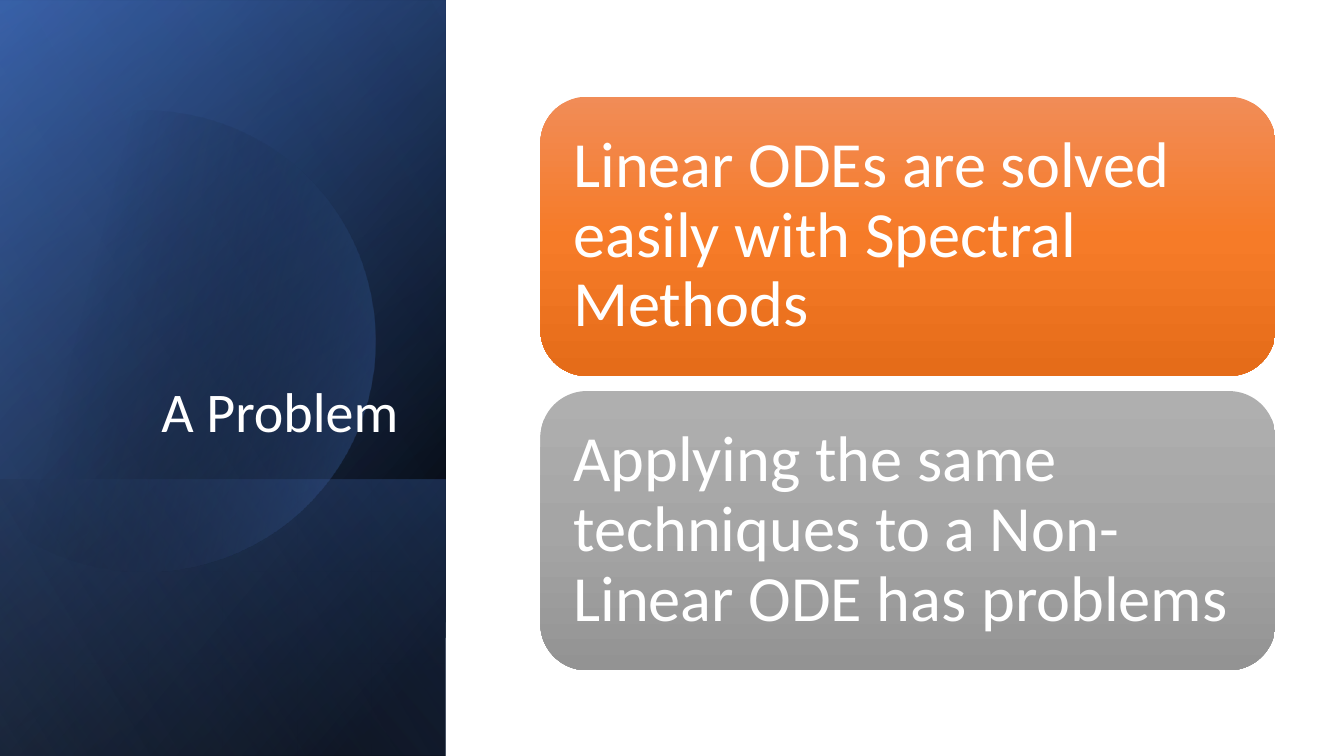
from dataclasses import dataclass

from lxml import etree
from pptx import Presentation
from pptx.dml.color import RGBColor
from pptx.enum.shapes import MSO_SHAPE
from pptx.enum.text import MSO_ANCHOR, MSO_AUTO_SIZE, PP_ALIGN
from pptx.oxml.ns import qn
from pptx.shapes.autoshape import Shape
from pptx.slide import Slide
from pptx.text.text import TextFrame
from pptx.util import Inches, Pt

RECTANGLE = MSO_SHAPE.RECTANGLE
ROUNDED_RECTANGLE = MSO_SHAPE.ROUNDED_RECTANGLE
ANCHOR_BOTTOM, ANCHOR_MIDDLE = MSO_ANCHOR.BOTTOM, MSO_ANCHOR.MIDDLE
ALIGN_LEFT, ALIGN_RIGHT = PP_ALIGN.LEFT, PP_ALIGN.RIGHT
NO_AUTOFIT = MSO_AUTO_SIZE.NONE

Point = tuple[float, float]


@dataclass(frozen=True)
class Theme:
    font: str = "Calibri"
    title_size: int = 40
    card_size: int = 46
    line_spacing: float = 0.9
    text: str = "FFFFFF"
    black: str = "000000"
    blue: str = "4472C4"
    dark_blue: str = "2F5597"
    light_blue: str = "8FAADC"
    orange: tuple[str, ...] = ("F18C57", "F67B28", "E56C19")
    gray: tuple[str, ...] = ("AFAFAF", "A5A5A5", "939393")


@dataclass(frozen=True)
class Stop:
    position: int
    color: str
    opacity: int = 100


@dataclass(frozen=True)
class Gradient:
    angle: int
    stops: tuple[Stop, ...]


@dataclass(frozen=True)
class Panel:
    left: float
    top: float
    width: float
    gradient: Gradient


@dataclass(frozen=True)
class Card:
    text: str
    colors: tuple[str, ...]


THEME = Theme()
PANEL_HEIGHT = 4.42
CARD_LEFT, CARD_TOP, CARD_WIDTH, CARD_HEIGHT = 5.36, 0.96, 7.29, 2.77
CARD_PITCH = 2.92
CARD_MARGIN = 0.19
CURVE_STEPS = 24

BASE_PANELS = (
    Panel(-1.54, 1.54, 7.5, Gradient(50, (Stop(8, THEME.black), Stop(100, THEME.dark_blue)))),
    Panel(-1.54, 1.55, 7.5, Gradient(30, (Stop(0, THEME.black, 0), Stop(99, THEME.blue, 46)))),
    Panel(0.84, 3.92, 2.74, Gradient(130, (Stop(2, THEME.blue, 29), Stop(100, THEME.black, 30)))),
)
GLOW_PANEL = Panel(
    -1.54, 1.54, 7.5, Gradient(120, (Stop(0, THEME.black, 0), Stop(99, THEME.light_blue, 11)))
)
CIRCLE_GRADIENT = Gradient(14, (Stop(29, THEME.black, 0), Stop(100, THEME.blue, 43)))
CIRCLE_START: Point = (1.49, 1.1)
CIRCLE_RIGHT_CURVES: tuple[tuple[Point, Point, Point], ...] = (
    ((2.46, 1.12), (3.35, 1.77), (3.63, 2.75)),
    ((3.98, 3.97), (3.28, 5.23), (2.07, 5.58)),
    ((1.31, 5.8), (0.53, 5.61), (-0.03, 5.14)),
)
CIRCLE_LEFT_EDGE: tuple[Point, ...] = ((-0.15, 5.03), (-0.15, 1.75), (0, 1.61))
CIRCLE_TOP_CURVES: tuple[tuple[Point, Point, Point], ...] = (
    ((0.23, 1.42), (0.5, 1.28), (0.8, 1.19)),
    ((1.03, 1.13), (1.26, 1.1), (1.49, 1.1)),
)
CARDS = (
    Card("Linear ODEs are solved easily with Spectral Methods", THEME.orange),
    Card("Applying the same techniques to a Non-Linear ODE has problems", THEME.gray),
)


def apply_gradient(shape: Shape, gradient: Gradient) -> None:
    shape.shadow.inherit = False
    shape.line.fill.background()
    shape.fill.gradient()
    element = shape._element.spPr.find(qn("a:gradFill"))
    element.clear()
    element.set("rotWithShape", "1")
    stop_list = etree.SubElement(element, qn("a:gsLst"))
    for stop in gradient.stops:
        entry = etree.SubElement(stop_list, qn("a:gs"), pos=str(stop.position * 1000))
        color = etree.SubElement(entry, qn("a:srgbClr"), val=stop.color)
        if stop.opacity < 100:
            etree.SubElement(color, qn("a:alpha"), val=str(stop.opacity * 1000))
    etree.SubElement(element, qn("a:lin"), ang=str(gradient.angle * 60000), scaled="0")


def write_text(
    frame: TextFrame, text: str, size: int, alignment: PP_ALIGN, anchor: MSO_ANCHOR
) -> None:
    frame.word_wrap = True
    frame.auto_size = NO_AUTOFIT
    frame.vertical_anchor = anchor
    frame.text = text
    paragraph = frame.paragraphs[0]
    paragraph.alignment = alignment
    paragraph.line_spacing = THEME.line_spacing
    paragraph.font.name = THEME.font
    paragraph.font.size = Pt(size)
    paragraph.font.color.rgb = RGBColor.from_string(THEME.text)


def add_panel(slide: Slide, panel: Panel) -> None:
    shape = slide.shapes.add_shape(
        RECTANGLE, Inches(panel.left), Inches(panel.top), Inches(panel.width), Inches(PANEL_HEIGHT)
    )
    shape.rotation = 90
    shape._element.spPr.xfrm.set("flipH", "1")
    apply_gradient(shape, panel.gradient)


def curve_points(start: Point, curves: tuple[tuple[Point, Point, Point], ...]) -> list[Point]:
    points: list[Point] = []
    for first, second, end in curves:
        for step in range(1, CURVE_STEPS + 1):
            t = step / CURVE_STEPS
            u = 1 - t
            weights = (u**3, 3 * u * u * t, 3 * u * t * t, t**3)
            controls = (start, first, second, end)
            x = sum(weight * point[0] for weight, point in zip(weights, controls))
            y = sum(weight * point[1] for weight, point in zip(weights, controls))
            points.append((x, y))
        start = end
    return points


def add_circle(slide: Slide) -> None:
    points = [
        *curve_points(CIRCLE_START, CIRCLE_RIGHT_CURVES),
        *CIRCLE_LEFT_EDGE,
        *curve_points(CIRCLE_LEFT_EDGE[-1], CIRCLE_TOP_CURVES),
    ]
    builder = slide.shapes.build_freeform(Inches(CIRCLE_START[0]), Inches(CIRCLE_START[1]))
    builder.add_line_segments([(Inches(x), Inches(y)) for x, y in points], close=True)
    apply_gradient(builder.convert_to_shape(), CIRCLE_GRADIENT)


def place_title(slide: Slide) -> None:
    title = slide.shapes.title
    title.left, title.top = Inches(0.64), Inches(1.84)
    title.width, title.height = Inches(3.41), Inches(2.62)
    write_text(title.text_frame, "A Problem", THEME.title_size, ALIGN_RIGHT, ANCHOR_BOTTOM)
    slide.shapes._spTree.append(title._element)


def add_card(slide: Slide, card: Card, top: float) -> None:
    shape = slide.shapes.add_shape(
        ROUNDED_RECTANGLE, Inches(CARD_LEFT), Inches(top), Inches(CARD_WIDTH), Inches(CARD_HEIGHT)
    )
    stops = tuple(Stop(index * 50, color) for index, color in enumerate(card.colors))
    apply_gradient(shape, Gradient(90, stops))
    frame = shape.text_frame
    frame.margin_left = frame.margin_right = Inches(CARD_MARGIN)
    frame.margin_top = frame.margin_bottom = Inches(CARD_MARGIN)
    write_text(frame, card.text, THEME.card_size, ALIGN_LEFT, ANCHOR_MIDDLE)


def main() -> None:
    presentation = Presentation()
    presentation.slide_width, presentation.slide_height = Inches(13.33), Inches(7.5)
    slide = presentation.slides.add_slide(presentation.slide_layouts[5])
    for panel in BASE_PANELS:
        add_panel(slide, panel)
    add_circle(slide)
    add_panel(slide, GLOW_PANEL)
    place_title(slide)
    for index, card in enumerate(CARDS):
        add_card(slide, card, CARD_TOP + index * CARD_PITCH)
    presentation.save("out.pptx")


if __name__ == "__main__":
    main()
